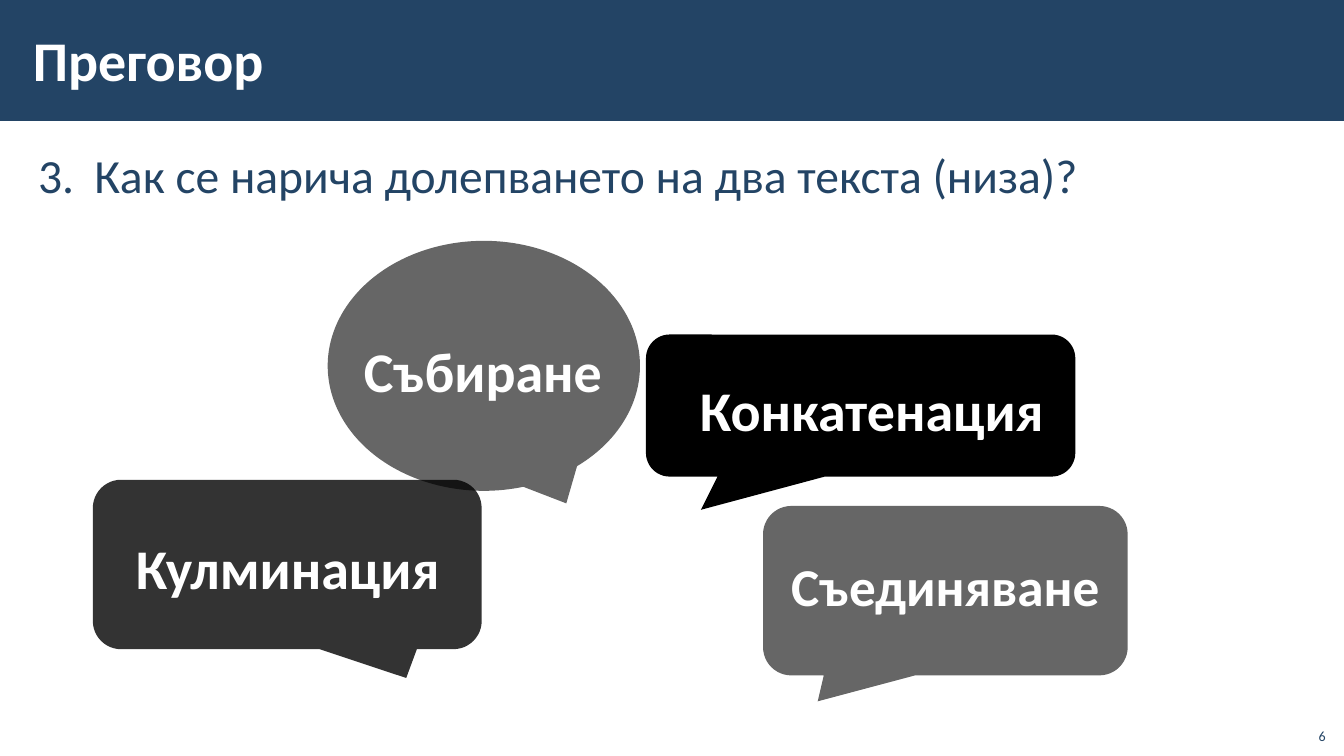
from lxml import etree
from pptx import Presentation, util as u
from pptx.dml import color
from pptx.enum import shapes, text
from pptx.oxml import ns

NAVY, WHITE, BLACK, GRAY = "234465", "FFFFFF", "000000", "666666"
ALIGN, ANCHOR, KIND = text.PP_ALIGN, text.MSO_ANCHOR, shapes.MSO_SHAPE
NARROW, WIDE, PLAIN = (0.3, 0.1), (0.41, 0.3), (0.25, 0.13)


def rgb(value):
    return color.RGBColor.from_string(value)


def assign(target, values):
    for name, value in values.items():
        setattr(target, name, value)


def add_xml(parent, tag, **attributes):
    return etree.SubElement(parent, ns.qn(tag), attributes)


class SlideBuilder:
    """Draws styled elements on the current slide."""

    font = "Calibri"

    def __init__(self, page):
        self.page = page

    def paint(self, shape, fill, opacity=100):
        shape.fill.solid()
        shape.fill.fore_color.rgb = rgb(fill)
        if opacity < 100:
            solid = shape.fill._xPr.find(ns.qn("a:solidFill"))
            add_xml(solid[0], "a:alpha", val=str(opacity * 1000))

    def shape(self, kind, place, fill, adjust=(), opacity=100, parent=None):
        box = (parent or self.page).shapes.add_shape(kind, *map(u.Cm, place))
        box.shadow.inherit = False
        box.line.fill.background()
        self.paint(box, fill, opacity)
        for index, value in enumerate(adjust):
            box.adjustments[index] = value
        return box

    def text(self, words, place, size, ink=WHITE, bold=False, pad=PLAIN,
             anchor=ANCHOR.TOP, left=0, hang=0, fill=None, parent=None, **layout):
        box = (parent or self.page).shapes.add_textbox(*map(u.Cm, place))
        if fill:
            self.paint(box, fill)
        across, down = map(u.Cm, pad)
        assign(box.text_frame, {
            "word_wrap": True, "vertical_anchor": anchor,
            "margin_left": across, "margin_right": across,
            "margin_top": down, "margin_bottom": down,
        })
        para = box.text_frame.paragraphs[0]
        assign(para, layout)
        if left:
            properties = para._p.get_or_add_pPr()
            properties.set("marL", str(u.Cm(left)))
            properties.set("indent", str(u.Cm(-hang)))
        span = para.add_run()
        span.text = words
        assign(span.font, {"name": self.font, "size": u.Pt(size), "bold": bold})
        span.font.color.rgb = rgb(ink)
        return para

    def number(self, para, start, ink):
        properties = para._p.get_or_add_pPr()
        add_xml(add_xml(properties, "a:buClr"), "a:srgbClr", val=ink)
        add_xml(properties, "a:buFont", typeface=self.font)
        add_xml(properties, "a:buAutoNum", type="arabicPeriod", startAt=str(start))

    def answer(self, words, bubble, label):
        group = self.page.shapes.add_group_shape()
        self.shape(parent=group, **bubble)
        self.text(words, parent=group, bold=True, **{"size": 40, "pad": WIDE, **label})


def main():
    deck = Presentation()
    assign(deck, {"slide_width": u.Cm(33.87), "slide_height": u.Cm(19.05)})
    slide = SlideBuilder(deck.slides.add_slide(deck.slide_layouts[6]))

    slide.shape(KIND.RECTANGLE, (0, 0, 33.87, 3.05), NAVY)
    question = slide.text(
        "Как се нарича долепването на два текста (низа)?",
        (0.66, 3.5, 32.79, 14.4), 34, NAVY, pad=NARROW, left=1.42, hang=1.42,
        line_spacing=1.05, space_before=u.Pt(6), space_after=u.Pt(6))
    slide.number(question, 3, NAVY)
    slide.text("Преговор", (0.53, 0.28, 26.97, 2.44), 40, bold=True,
               pad=NARROW, anchor=ANCHOR.MIDDLE)

    rounded, oval = KIND.ROUNDED_RECTANGULAR_CALLOUT, KIND.OVAL_CALLOUT
    centred = {"alignment": ALIGN.CENTER, "line_spacing": 1.1}
    slide.answer(
        "Конкатенация",
        {"kind": rounded, "place": (16.28, 8.43, 10.82, 3.58), "fill": BLACK,
         "adjust": (-0.372, 0.734, 0.167)},
        {"place": (17.04, 8.99, 9.86, 2.46), "fill": BLACK, **centred})
    slide.answer(
        "Събиране",
        {"kind": oval, "place": (8.26, 6.07, 7.87, 6.3), "fill": GRAY,
         "adjust": (0.264, 0.55)},
        {"place": (7.49, 8.18, 8.28, 2.29), "left": 1.27})
    slide.answer(
        "Кулминация",
        {"kind": rounded, "place": (2.34, 12.09, 9.8, 4.27), "fill": BLACK,
         "adjust": (0.306, 0.67, 0.167), "opacity": 80},
        {"place": (2.87, 12.98, 8.76, 2.46), **centred})
    slide.answer(
        "Съединяване",
        {"kind": rounded, "place": (19.23, 12.75, 9.19, 4.27), "fill": GRAY,
         "adjust": (-0.35, 0.653, 0.167)},
        {"place": (17.58, 13.54, 12.5, 2.39), "size": 38, "pad": PLAIN,
         "anchor": ANCHOR.MIDDLE, "alignment": ALIGN.CENTER})
    slide.text("6", (32.64, 18.08, 1.02, 0.81), 10, NAVY,
               anchor=ANCHOR.BOTTOM, alignment=ALIGN.RIGHT)
    deck.save("out.pptx")


if __name__ == "__main__":
    main()
